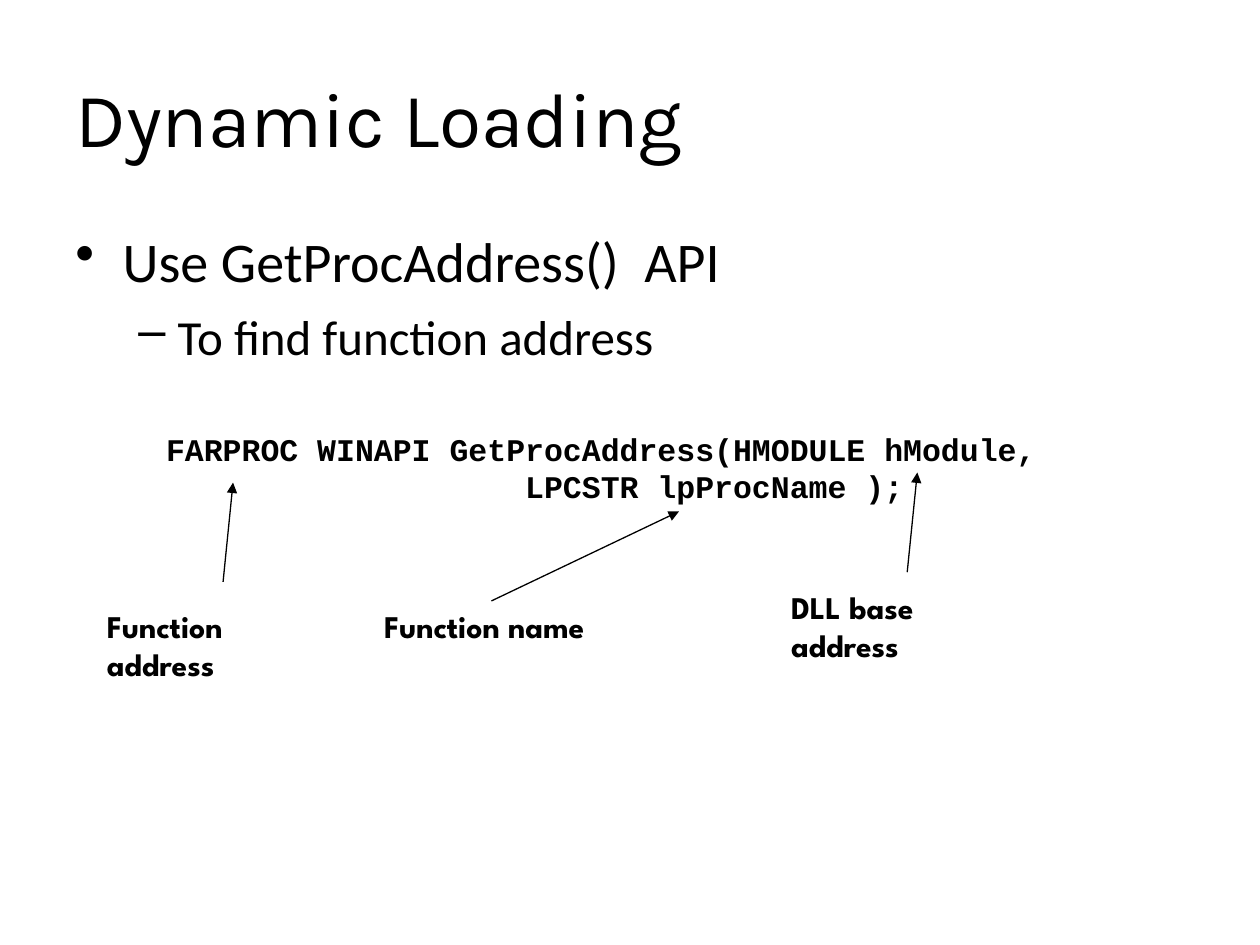
from lxml import etree
from pptx import Presentation
from pptx import util as u
from pptx.dml.color import RGBColor
from pptx.enum import shapes, text
from pptx.oxml.ns import qn

BLACK = RGBColor(0, 0, 0)
TITLE = {"name": "Karla", "size": u.Pt(44)}
POINT = {"name": "Calibri", "size": u.Pt(32)}
SUBPOINT = {"name": "Calibri", "size": u.Pt(28)}
CODE = {"name": "Courier New", "size": u.Pt(18), "bold": True}
LABEL = {"name": "League Spartan", "size": u.Pt(18), "bold": True}


def add_frame(slide, box, anchor=text.MSO_ANCHOR.TOP):
    frame = slide.shapes.add_textbox(*map(u.Pt, box)).text_frame
    frame.word_wrap = True
    frame.vertical_anchor = anchor
    return frame


def write_line(frame, index, words, style):
    line = frame.paragraphs[0] if index == 0 else frame.add_paragraph()
    line.text = words
    for key, value in style.items():
        setattr(line.font, key, value)
    line.font.color.rgb = BLACK
    return line


def add_bullet(line, mark, margin, hanging):
    props = line._p.get_or_add_pPr()
    props.set("marL", str(u.Pt(margin)))
    props.set("indent", str(-u.Pt(hanging)))
    bullet = etree.Element(qn("a:buChar"), char=mark)
    props.insert_element_before(bullet, "a:tabLst", "a:defRPr", "a:extLst")


def add_title(slide, box):
    write_line(add_frame(slide, box, text.MSO_ANCHOR.MIDDLE), 0, "Dynamic Loading", TITLE)


def add_points(slide, box):
    frame = add_frame(slide, box)
    use_api = write_line(frame, 0, "Use GetProcAddress()  API", POINT)
    add_bullet(use_api, "•", 27, 27)
    purpose = write_line(frame, 1, "To find function address", SUBPOINT)
    purpose.level = 1
    purpose.space_before = u.Pt(7)
    add_bullet(purpose, "–", 58.5, 22.5)


def add_signature(slide, box):
    frame = add_frame(slide, box)
    signature = (
        "FARPROC WINAPI GetProcAddress(HMODULE hModule,",
        "                   LPCSTR lpProcName );",
    )
    for index, words in enumerate(signature):
        write_line(frame, index, words, CODE)


def add_callout(slide, box, words, start, end):
    pointer = slide.shapes.add_connector(
        shapes.MSO_CONNECTOR.STRAIGHT, *map(u.Pt, start + end))
    pointer.line.color.rgb = BLACK
    pointer.line.width = u.Pt(0.75)
    etree.SubElement(pointer.line._get_or_add_ln(), qn("a:tailEnd"), type="triangle")
    etree.SubElement(pointer._element.spPr, qn("a:effectLst"))
    write_line(add_frame(slide, box), 0, words, LABEL)


def main():
    deck = Presentation()
    deck.slide_width, deck.slide_height = u.Pt(720), u.Pt(540)
    slide = deck.slides.add_slide(deck.slide_layouts[6])
    add_title(slide, (36, 21.6, 648, 90))
    add_points(slide, (36, 126, 648, 356.4))
    add_signature(slide, (87.8, 242, 591, 50.4))
    callouts = (
        ("Function address", (54, 343.4), (127.5, 332.5), (133.2, 275.8)),
        ("DLL base address", (445, 332.6), (518.4, 327), (524.2, 270)),
        ("Function name", (212.4, 343.4), (280.8, 343.4), (388, 292.3)),
    )
    for words, corner, start, end in callouts:
        add_callout(slide, corner + (141.8, 50.4), words, start, end)
    deck.save("out.pptx")


if __name__ == "__main__":
    main()
